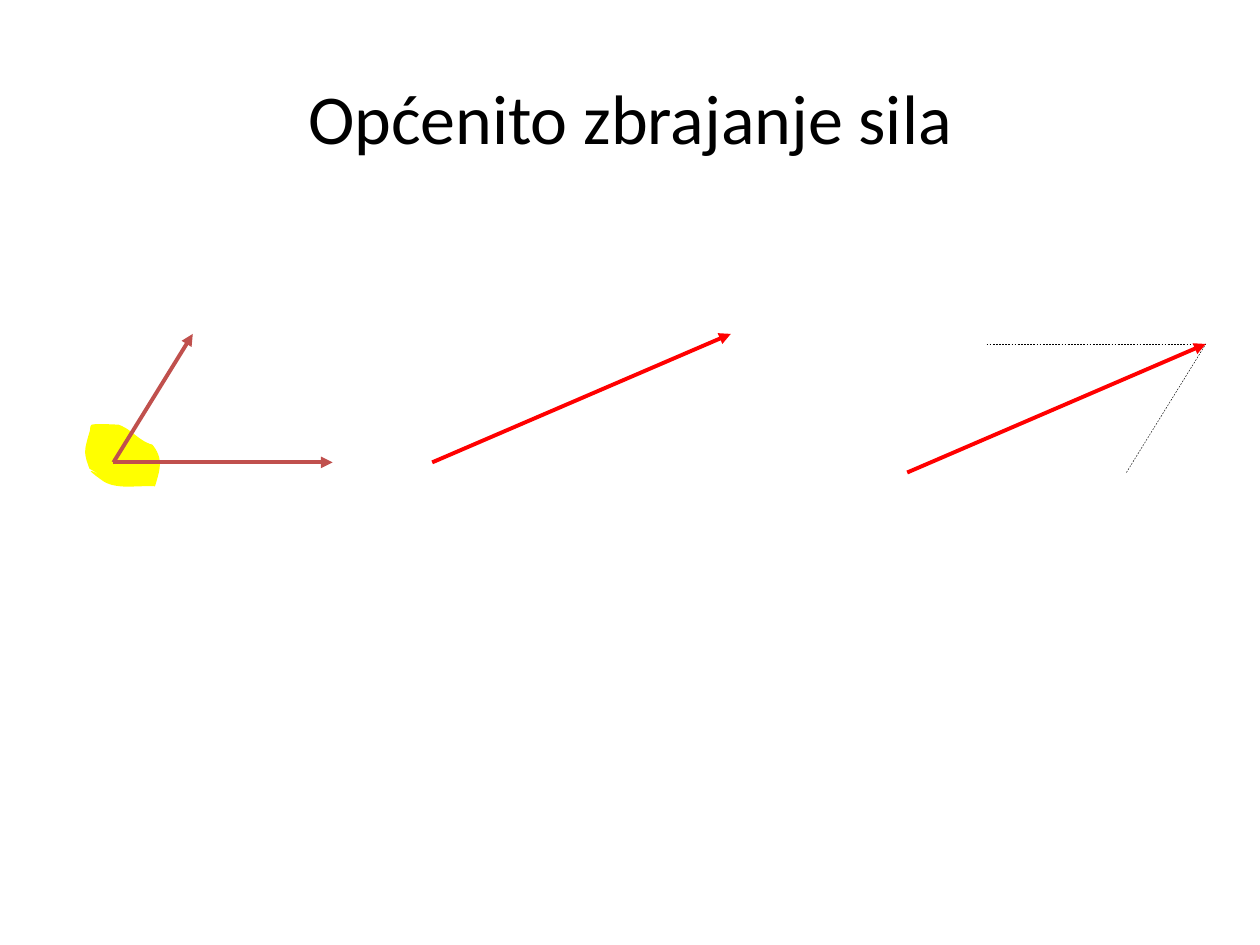
from lxml import etree
from pptx import Presentation
from pptx.dml.color import RGBColor
from pptx.enum.dml import MSO_LINE
from pptx.enum.shapes import MSO_CONNECTOR
from pptx.enum.text import MSO_ANCHOR, PP_ALIGN
from pptx.oxml.ns import qn
from pptx.util import Inches, Pt

STRAIGHT = MSO_CONNECTOR.STRAIGHT
DASH = MSO_LINE.DASH
MIDDLE = MSO_ANCHOR.MIDDLE
CENTER = PP_ALIGN.CENTER

COLORS = {"text": "000000", "body": "FFFF00", "force": "C0504D", "resultant": "FF0000"}
CELL = Inches(0.1)  # the slide is a grid of 100 columns by 75 rows


def add(*vectors):
    return tuple(sum(parts) for parts in zip(*vectors))


def bezier(p0, p1, p2, p3, steps=12):
    """Points along a cubic curve, without its start."""
    points = []
    for i in range(1, steps + 1):
        t = i / steps
        weights = ((1 - t) ** 3, 3 * t * (1 - t) ** 2, 3 * t ** 2 * (1 - t), t ** 3)
        points.append(tuple(sum(w * v for w, v in zip(weights, axis))
                            for axis in zip(p0, p1, p2, p3)))
    return points


def format_text(p, text, size=18, color="text", font="Calibri", align=CENTER):
    p.alignment = align
    r = p.add_run()
    r.text = text
    r.font.size = Pt(size)
    r.font.name = font
    r.font.color.rgb = RGBColor.from_string(COLORS[color])


class SlideBuilder:
    def __init__(self, s):
        self.s = s

    def emu(self, *cells):
        return [round(c * CELL) for c in cells]

    def title(self, text, x, y, w, h, **style):
        tf = self.s.shapes.add_textbox(*self.emu(x, y, w, h)).text_frame
        tf.word_wrap = True
        tf.vertical_anchor = MIDDLE
        format_text(tf.paragraphs[0], text, **style)

    def curved_shape(self, start, curves, color):
        points = [start]
        for curve in curves:
            points += bezier(points[-1], *curve)
        builder = self.s.shapes.build_freeform(*self.emu(*start))
        builder.add_line_segments([self.emu(*pt) for pt in points[1:]], close=True)
        sp = builder.convert_to_shape()
        sp.shadow.inherit = False
        sp.fill.solid()
        sp.fill.fore_color.rgb = RGBColor.from_string(COLORS[color])
        sp.line.fill.background()

    def line(self, start, end, color, width, dash=None):
        cxn = self.s.shapes.add_connector(STRAIGHT, *self.emu(*start, *end))
        cxn.line.color.rgb = RGBColor.from_string(COLORS[color])
        cxn.line.width = Pt(width)
        if dash:
            cxn.line.dash_style = dash
        etree.SubElement(cxn._element.spPr, qn("a:effectLst"))
        return cxn

    def arrow(self, start, vector, color):
        cxn = self.line(start, add(start, vector), color, 2.25)
        ln = cxn._element.spPr.find(qn("a:ln"))
        etree.SubElement(ln, qn("a:tailEnd"), type="triangle")

    def guide(self, start, end):
        self.line(start, end, "text", 0.25, DASH)


def main():
    prs = Presentation()
    prs.slide_width, prs.slide_height = 100 * CELL, 75 * CELL
    slide = SlideBuilder(prs.slides.add_slide(prs.slide_layouts[6]))

    slide.title("Općenito zbrajanje sila", 5, 3, 90, 12.5, size=40)

    # Body on which the forces act
    slide.curved_shape((9.4, 33.7), [
        ((10.5, 34.1), (11, 35), (12.1, 35.3)),
        ((13, 36.4), (12.7, 37.3), (12.3, 38.6)),
        ((11, 38.5), (9.3, 38.9), (8.2, 38.2)),
        ((5.1, 36), (10.4, 39.1), (7.1, 37.2)),
        ((6.6, 35.9), (6.7, 35.7), (7.1, 34.3)),
        ((7.2, 34.1), (7.1, 33.8), (7.3, 33.7)),
        ((8, 33.6), (8.7, 33.7), (9.4, 33.7)),
    ], "body")

    # The resultant is the sum of the two forces
    horizontal, slanted = (17.4, 0), (6.3, -10.2)
    resultant = add(horizontal, slanted)

    # Resultant alone
    slide.arrow((34.3, 36.7), resultant, "resultant")

    # Resultant as the diagonal of the parallelogram
    corner = (72, 37.5)
    for force in (slanted, horizontal):
        slide.guide(add(corner, force), add(corner, resultant))
    slide.arrow(corner, resultant, "resultant")

    # Two forces from one point
    for force in (slanted, horizontal):
        slide.arrow((9, 36.7), force, "force")

    prs.save("out.pptx")


if __name__ == "__main__":
    main()
